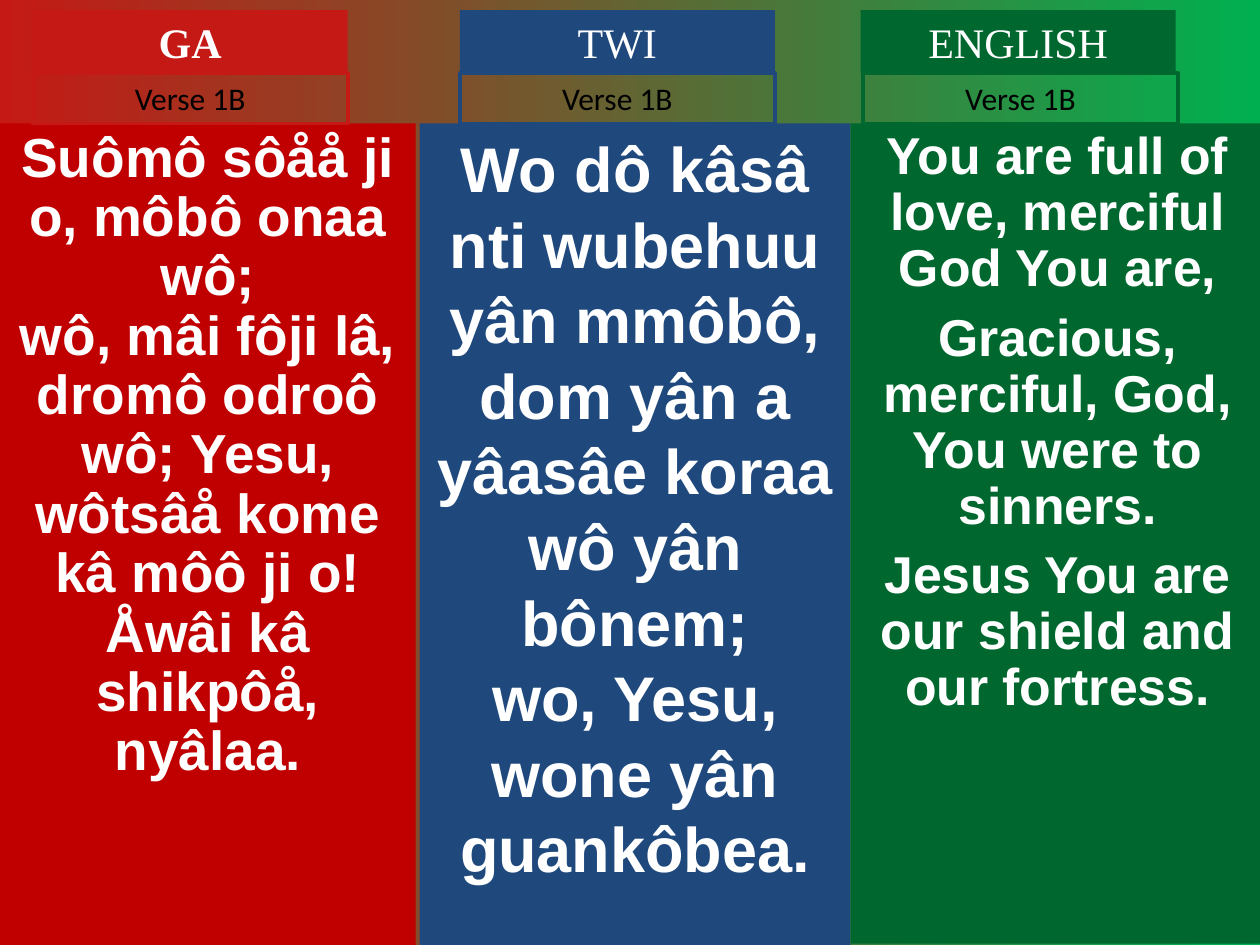
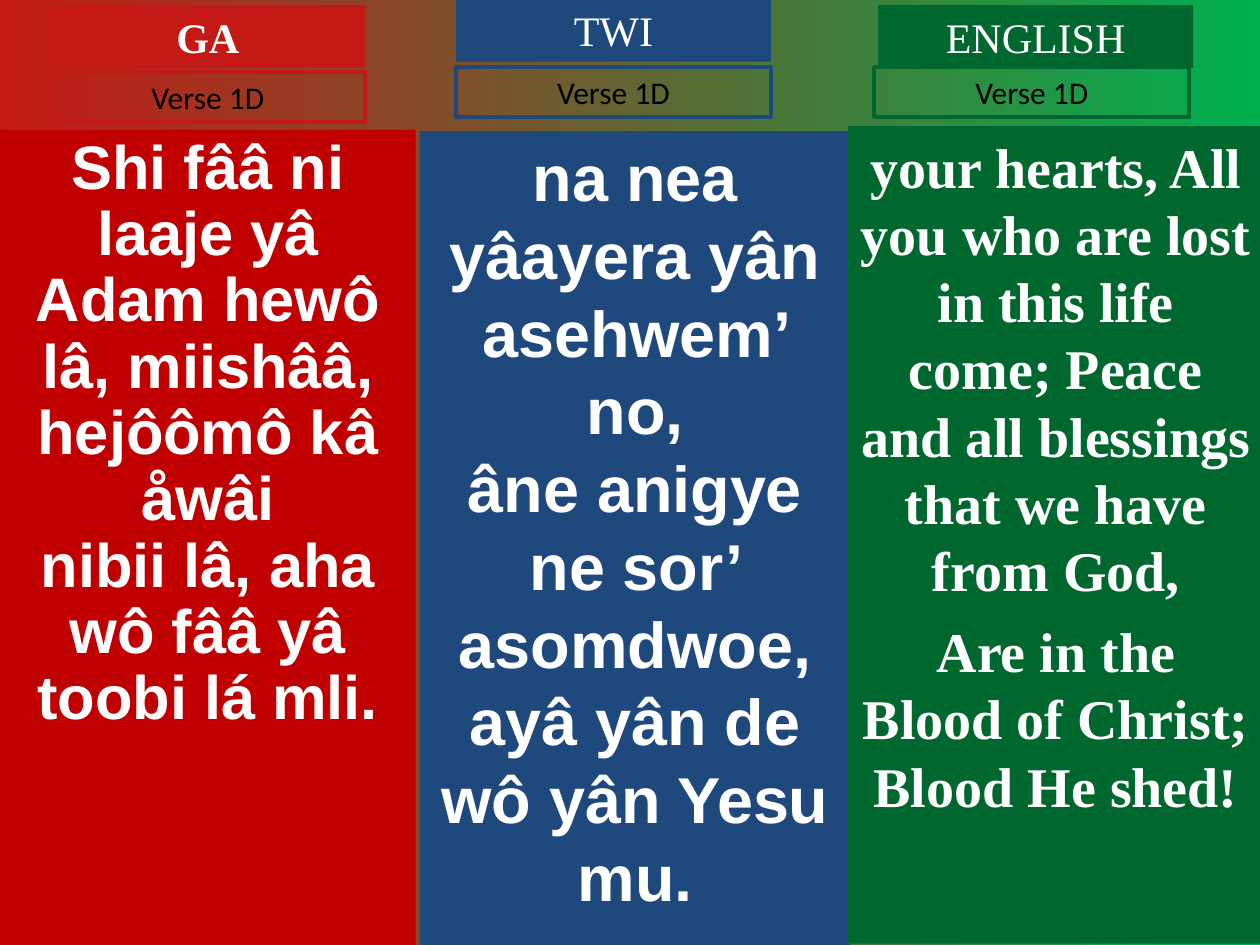
"""Build two three-language hymn slides with Ga, Twi and English columns."""
import pptx
import pptx.util
import pptx.dml.color
import pptx.enum.shapes
import pptx.enum.text

Pt = pptx.util.Pt
RGB = pptx.dml.color.RGBColor
WHITE = RGB(0xFF, 0xFF, 0xFF)
BLACK = RGB(0x00, 0x00, 0x00)
SCARLET = RGB(0xC5, 0x19, 0x15)
RED = RGB(0xC0, 0x00, 0x00)
BLUE = RGB(0x1F, 0x49, 0x7D)
GREEN = RGB(0x00, 0x68, 0x2F)
BRIGHT_GREEN = RGB(0x00, 0xB0, 0x50)

LABEL_WIDTH, HEADER_HEIGHT, VERSE_HEIGHT = 180, 36, 28.8
LANGUAGES = {
    "GA": {"panel": RED, "label": SCARLET, "bold": True},
    "TWI": {"panel": BLUE, "label": BLUE, "bold": False},
    "ENGLISH": {"panel": GREEN, "label": GREEN, "bold": False},
}
VERSE_FONT = {"name": "Calibri", "size": Pt(18), "bold": False}

VERSES = {
    "Verse 1B": {
        "GA": {
            "panel": (0, 70.5, 237.6, 469.5),
            "header": (18.7, 5.8), "verse": (18.7, 41.8),
            "font": "Arial", "size": 31.4, "spacing": 0.9, "before": 0,
            "lines": [
                "Suômô sôåå ji o, môbô onaa wô;",
                "wô, mâi fôji lâ, dromô odroô wô; Yesu, wôtsâå kome "
                "kâ môô ji o! Åwâi kâ shikpôå, nyâlaa.",
            ],
        },
        "TWI": {
            "panel": (239.8, 70.5, 246.2, 469.5),
            "header": (262.8, 5.8), "verse": (262.8, 41.8),
            "font": "Arial", "size": 36, "spacing": 1.0, "before": 0,
            "lines": [
                "Wo dô kâsâ nti wubehuu yân mmôbô,",
                "dom yân a yâasâe koraa wô yân bônem;",
                "wo, Yesu, wone yân guankôbea.",
            ],
        },
        "ENGLISH": {
            "panel": (486, 70.5, 236.9, 468.7),
            "header": (491.8, 5.8), "verse": (493.2, 41.8),
            "font": "Arial", "size": 29.6, "spacing": 0.9, "before": 8,
            "lines": [
                "You are full of love, merciful God You are,",
                "Gracious, merciful, God, You were to sinners.",
                "Jesus You are our shield and our fortress.",
            ],
        },
    },
    "Verse 1D": {
        "GA": {
            "panel": (0, 74.2, 237.6, 465.8),
            "header": (28.8, 2.9), "verse": (28.8, 41),
            "font": "Arial", "size": 35.1, "spacing": 0.9, "before": 0,
            "lines": [
                "Shi fââ ni laaje yâ Adam hewô",
                "lâ, miishââ, hejôômô kâ åwâi",
                "nibii lâ, aha wô fââ yâ toobi lá mli.",
            ],
        },
        "TWI": {
            "panel": (239.8, 74.9, 246.2, 465.1),
            "header": (260.6, -0.7), "verse": (260.6, 38.2),
            "font": "Arial", "size": 37, "spacing": 1.0, "before": 0,
            "lines": [
                "na nea yâayera yân asehwem’ no,",
                "âne anigye ne sor’ asomdwoe,",
                "ayâ yân de wô yân Yesu mu.",
            ],
        },
        "ENGLISH": {
            "panel": (484.6, 72, 237.6, 467.3),
            "header": (501.8, 2.9), "verse": (499.7, 38.2),
            "font": "Times New Roman", "size": 32, "spacing": 1.0, "before": 8,
            "lines": [
                "your hearts, All you who are lost in this life come; "
                "Peace and all blessings that we have from God,",
                "Are in the Blood of Christ; Blood He shed!",
            ],
        },
    },
}


def set_all(target, values):
    """Set each named attribute of the target."""
    for name, value in values.items():
        setattr(target, name, value)


def paint_background(page):
    """Give the page its left-to-right red to green gradient."""
    fill = page.background.fill
    fill.gradient()
    fill.gradient_angle = 0
    for stop, colour in zip(fill.gradient_stops, (SCARLET, BRIGHT_GREEN)):
        stop.color.rgb = colour


def add_box(page, bounds, fill=None, line=None):
    """Add a plain rectangle that is filled, outlined or both."""
    box = page.shapes.add_shape(
        pptx.enum.shapes.MSO_SHAPE.RECTANGLE, *map(Pt, bounds))
    box.shadow.inherit = False
    if fill is None:
        box.fill.background()
    else:
        box.fill.solid()
        box.fill.fore_color.rgb = fill
    if line is None:
        box.line.fill.background()
    else:
        box.line.color.rgb = line
        box.line.width = Pt(2.25)
    return box


def write(box, lines, font, colour, spacing=1.0, before=0, grow=False):
    """Write centred paragraphs from the top of the box."""
    sizing = pptx.enum.text.MSO_AUTO_SIZE
    frame = box.text_frame
    set_all(frame, {
        "word_wrap": True,
        "vertical_anchor": pptx.enum.text.MSO_ANCHOR.TOP,
        "auto_size": sizing.SHAPE_TO_FIT_TEXT if grow else sizing.NONE,
    })
    for index, line in enumerate(lines):
        para = frame.add_paragraph() if index else frame.paragraphs[0]
        set_all(para, {
            "alignment": pptx.enum.text.PP_ALIGN.CENTER,
            "line_spacing": spacing,
            "space_before": Pt(before if index else 0),
        })
        span = para.add_run()
        span.text = line
        set_all(span.font, font)
        span.font.color.rgb = colour


def add_lyrics(page, column, colour):
    """Add the tall panel holding one language's words."""
    font = {"name": column["font"], "size": Pt(column["size"]), "bold": True}
    write(add_box(page, column["panel"], fill=colour), column["lines"], font,
          WHITE, column["spacing"], column["before"])


def add_labels(page, column, language, verse):
    """Add the language header and the outlined verse label."""
    style = LANGUAGES[language]
    header_font = {"name": "Times New Roman", "size": Pt(24),
                   "bold": style["bold"]}
    header = add_box(page, (*column["header"], LABEL_WIDTH, HEADER_HEIGHT),
                     fill=style["label"])
    write(header, [language], header_font, WHITE, grow=True)
    label = add_box(page, (*column["verse"], LABEL_WIDTH, VERSE_HEIGHT),
                    line=style["label"])
    write(label, [verse], VERSE_FONT, BLACK, grow=True)


def main():
    """Build and save the deck."""
    deck = pptx.Presentation()
    set_all(deck, {"slide_width": Pt(720), "slide_height": Pt(540)})
    for verse, columns in VERSES.items():
        page = deck.slides.add_slide(deck.slide_layouts[6])
        paint_background(page)
        for language, column in columns.items():
            add_lyrics(page, column, LANGUAGES[language]["panel"])
            add_labels(page, column, language, verse)
    deck.save("out.pptx")


if __name__ == "__main__":
    main()
